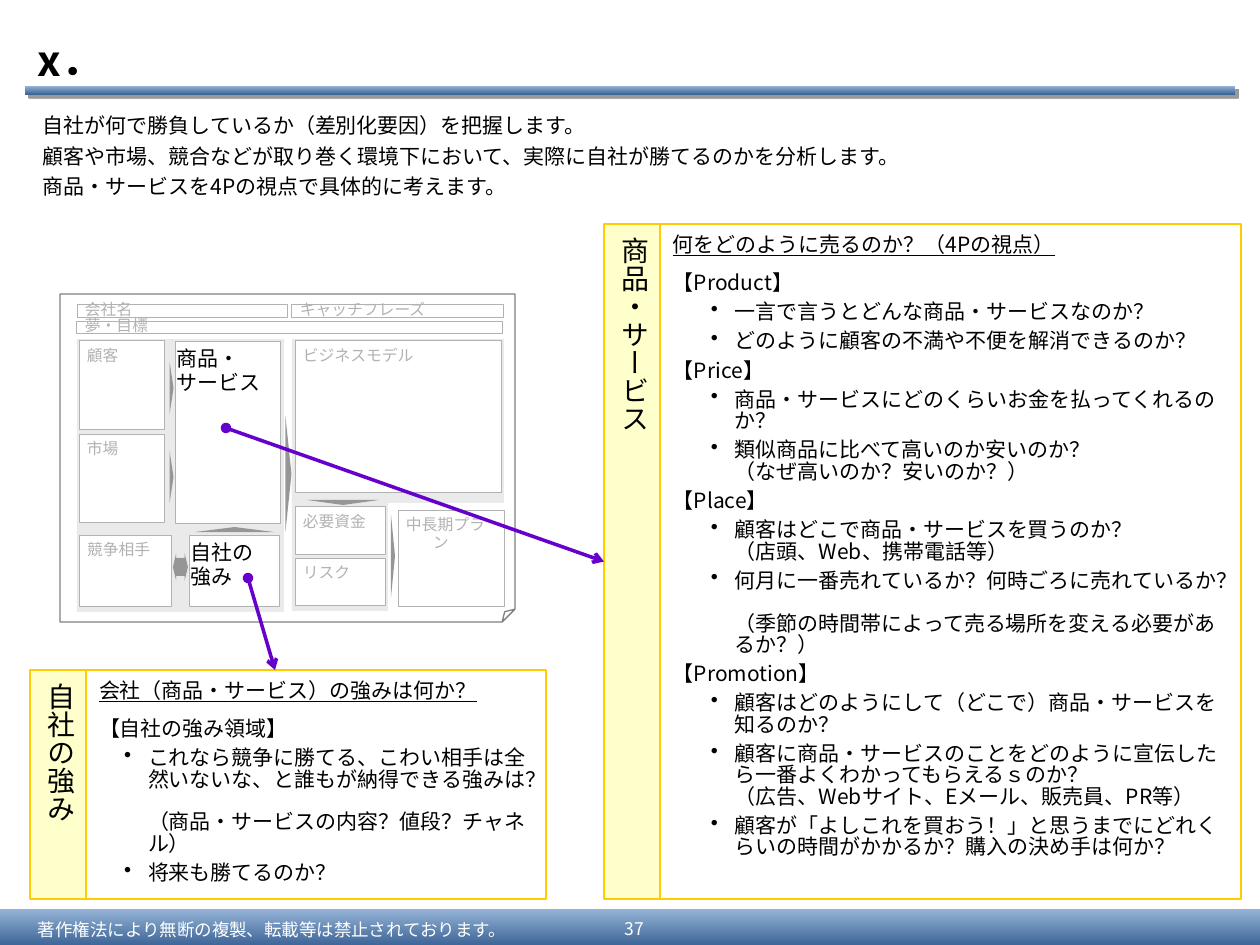
from lxml import etree
from pptx import Presentation, util as u
from pptx.dml.color import RGBColor
from pptx.enum import shapes, text
from pptx.oxml.ns import qn

BLACK = RGBColor(0x00, 0x00, 0x00)
WHITE = RGBColor(0xFF, 0xFF, 0xFF)
NAVY = RGBColor(0x37, 0x60, 0x92)
SKY = RGBColor(0x95, 0xB3, 0xD7)
PALE_GREY = RGBColor(0xEA, 0xEA, 0xEA)
LIGHT_GREY = RGBColor(0xB2, 0xB2, 0xB2)
MID_GREY = RGBColor(0x96, 0x96, 0x96)
DARK_GREY = RGBColor(0x80, 0x80, 0x80)
CREAM = RGBColor(0xFF, 0xFF, 0xCC)
GOLD = RGBColor(0xFF, 0xCC, 0x00)
PURPLE = RGBColor(0x66, 0x00, 0xCC)
JAPANESE = "Noto Sans CJK JP"
PX = 914400 / 126
RECT = shapes.MSO_SHAPE.RECTANGLE
LEFT, CENTER = text.PP_ALIGN.LEFT, text.PP_ALIGN.CENTER
TOP, MIDDLE = text.MSO_ANCHOR.TOP, text.MSO_ANCHOR.MIDDLE

deck = Presentation()
deck.slide_width, deck.slide_height = u.Inches(10), u.Inches(7.5)
page = deck.slides.add_slide(deck.slide_layouts[5])


def add_box(kind, area, fill=None, line=None, width=0.5):
    box = page.shapes.add_shape(kind, *[u.Emu(round(n * PX)) for n in area])
    box.shadow.inherit = False
    if fill is None:
        box.fill.background()
    else:
        box.fill.solid()
        box.fill.fore_color.rgb = fill
    if line is None:
        box.line.fill.background()
    else:
        box.line.color.rgb = line
        box.line.width = u.Pt(width)
    return box


def write(box, lines, size, color=BLACK, font=JAPANESE, insets=(13, 6, 13, 6),
          anchor=TOP, align=LEFT, spacing=None, before=0, after=0):
    frame = box.text_frame
    frame.word_wrap = True
    frame.vertical_anchor = anchor
    frame.margin_left, frame.margin_top, frame.margin_right, frame.margin_bottom = [
        u.Emu(round(n * PX)) for n in insets]
    for index, line in enumerate(lines):
        para = frame.add_paragraph() if index else frame.paragraphs[0]
        para.text = line
        para.alignment = align
        para.line_spacing = spacing
        para.space_before = u.Pt(before if index else 0)
        para.space_after = u.Pt(after)
        for line_break in para._p.findall(qn("a:br")):
            etree.SubElement(line_break, qn("a:rPr"), sz=str(size * 100))
        for span in para.runs:
            span.font.size = u.Pt(size)
            span.font.color.rgb = color
            span.font.name = font
            etree.SubElement(span._r.get_or_add_rPr(), qn("a:ea"), typeface=font)
    return frame.paragraphs


# Footer band and title rule
bands = [add_box(RECT, area, NAVY) for area in ((0, 909, 1260, 39), (25, 86, 1210, 9))]
for band in bands:
    band.fill.gradient()
    band.fill.gradient_angle = 90
    for stop, color in zip(band.fill.gradient_stops, (NAVY, SKY)):
        stop.color.rgb = color
effects = bands[1]._element.spPr.find(qn("a:effectLst"))
shadow = etree.SubElement(effects, qn("a:outerShdw"), dist=str(u.Pt(3)), dir="2700000", algn="tl")
shade = etree.SubElement(shadow, qn("a:srgbClr"), val="000000")
etree.SubElement(shade, qn("a:alpha"), val="40000")

# Footer text
for area, label, align in (
    ((25, 913, 536, 32), "著作権法により無断の複製、転載等は禁止されております。", LEFT),
    ((600, 911, 69, 35), "37", CENTER),
):
    box = page.shapes.add_textbox(*[u.Emu(round(n * PX)) for n in area])
    write(box, [label], 10, WHITE, insets=(13, 5, 13, 5), anchor=MIDDLE, align=align)

# Title and introduction
title = page.shapes.title
title.left, title.top, title.width, title.height = [
    u.Emu(round(n * PX)) for n in (25, 26, 1235, 68)]
write(title, ["x．"], 24, anchor=MIDDLE)[0].runs[0].font.bold = True
intro = page.shapes.add_textbox(*[u.Emu(round(n * PX)) for n in (30, 107, 1211, 117)])
write(intro, [
    "自社が何で勝負しているか（差別化要因）を把握します。",
    "顧客や市場、競合などが取り巻く環境下において、実際に自社が勝てるのかを分析します。",
    "商品・サービスを4Pの視点で具体的に考えます。",
], 12, before=3)

# Business plan sheet and its grey zones
sheet = add_box(shapes.MSO_SHAPE.FOLDED_CORNER, (60, 294, 455, 328), None, DARK_GREY, 0.75)
guides = sheet._element.spPr.find(qn("a:prstGeom")).get_or_add_avLst()
etree.SubElement(guides, qn("a:gd"), name="adj", fmla="val 3900")
for area in ((292, 447, 96, 164), (292, 339, 212, 164), (77, 339, 207, 273)):
    add_box(RECT, area, PALE_GREY)

# Arrows between the cells
rivalry = add_box(shapes.MSO_SHAPE.LEFT_RIGHT_ARROW, (173, 553, 15, 28), MID_GREY)
rivalry.adjustments[0], rivalry.adjustments[1] = 0.64, 0.22
for *area, turn in (
    (145, 386, 53, 4, 90), (145, 475, 53, 4, 90), (195, 527, 79, 5, 0),
    (231, 471, 115, 6, 90), (307, 500, 72, 5, 180), (352, 554, 82, 4, 90),
):
    add_box(shapes.MSO_SHAPE.ISOSCELES_TRIANGLE, area, MID_GREY).rotation = turn

# Greyed cells, the low ones with text anchored in the middle
for label, *area in (
    ("会社名", 77, 305, 211, 13), ("キャッチフレーズ", 292, 305, 212, 13),
    ("夢・目標", 77, 321, 426, 13), ("ビジネスモデル", 295, 341, 206, 152),
    ("必要資金", 295, 507, 91, 48), ("中長期プラン", 398, 510, 106, 97),
    ("リスク", 295, 558, 91, 48), ("顧客", 79, 341, 86, 89),
    ("市場", 79, 434, 86, 89), ("競争相手", 79, 535, 92, 72),
):
    low = area[3] < 20
    cell = add_box(RECT, area, WHITE, LIGHT_GREY)
    para = write(cell, [label], 9, LIGHT_GREY, "Calibri", (8, 4 if low else 6, 8, 6),
                 MIDDLE if low else TOP, spacing=0.95, after=1.1)[0]
    hang = round(27 * PX)
    para._p.get_or_add_pPr().set("marL", str(hang))
    para._p.get_or_add_pPr().set("indent", str(-hang))

# Highlighted cells
for label, *area in (("商品・\nサービス", 175, 341, 105, 183), ("自社の\n強み", 189, 535, 91, 72)):
    cell = add_box(RECT, area, WHITE, LIGHT_GREY)
    write(cell, [label], 12, BLACK, "Calibri", (2, 6, 2, 6), spacing=0.95, after=1.5)

# Detail panels: vertical tag, underlined question, 【headings】 and bullets
panels = [
    ("自社の強み", 30, 670, 460, 229, 49, [
        "会社（商品・サービス）の強みは何か？",
        "【自社の強み領域】",
        "これなら競争に勝てる、こわい相手は全然いないな、と誰もが納得できる強みは？\n（商品・サービスの内容？値段？チャネル）",
        "将来も勝てるのか？",
    ]),
    ("商品・サービス", 604, 224, 581, 675, 62, [
        "何をどのように売るのか？（4Pの視点）",
        "【Product】",
        "一言で言うとどんな商品・サービスなのか？",
        "どのように顧客の不満や不便を解消できるのか？",
        "【Price】",
        "商品・サービスにどのくらいお金を払ってくれるのか？",
        "類似商品に比べて高いのか安いのか？\n（なぜ高いのか？安いのか？）",
        "【Place】",
        "顧客はどこで商品・サービスを買うのか？\n（店頭、Web、携帯電話等）",
        "何月に一番売れているか？何時ごろに売れているか？\n（季節の時間帯によって売る場所を変える必要があるか？）",
        "【Promotion】",
        "顧客はどのようにして（どこで）商品・サービスを知るのか？",
        "顧客に商品・サービスのことをどのように宣伝したら一番よくわかってもらえるｓのか？\n（広告、Webサイト、Eメール、販売員、PR等）",
        "顧客が「よしこれを買おう！」と思うまでにどれくらいの時間がかかるか？購入の決め手は何か？",
    ]),
]
tags = []
for name, left, top, width, height, indent, lines in panels:
    tag = add_box(RECT, (left, top, 56, height), CREAM, GOLD, 1.25)
    write(tag, [name], 16, insets=(6, 13, 6, 13), anchor=MIDDLE, align=CENTER, spacing=0.9, after=2)
    tag.text_frame._txBody.bodyPr.set("vert", "eaVert")
    tags.append(tag)
    panel = add_box(RECT, (left + 56, top, width, height), WHITE, GOLD, 1.25)
    paras = write(panel, lines, 12, insets=(13, 11, 13, 6), spacing=0.85, before=2.2, after=2.2)
    paras[0].runs[0].font.underline = True
    paras[1].space_before = u.Pt(7.5)
    for para in paras[2:]:
        if not para.text.startswith("【"):
            para.level = 1
            props = para._p.get_or_add_pPr()
            props.set("marL", str(round(indent * PX)))
            props.set("indent", str(round(-24 * PX)))
            etree.SubElement(props, qn("a:buChar"), char="•")

# Pointers from the highlighted cells to the panels
pointers = []
for ends in ((226, 428, 604, 561), (248, 578, 275, 670)):
    pointer = page.shapes.add_connector(
        shapes.MSO_CONNECTOR.STRAIGHT, *[u.Emu(round(n * PX)) for n in ends])
    pointer.line.color.rgb = PURPLE
    pointer.line.width = u.Pt(2)
    outline = pointer.line._get_or_add_ln()
    etree.SubElement(outline, qn("a:headEnd"), type="oval")
    etree.SubElement(outline, qn("a:tailEnd"), type="arrow")
    etree.SubElement(pointer._element.spPr, qn("a:effectLst"))
    pointers.append(pointer)
pointers[0].end_connect(tags[1], 1)

deck.save("out.pptx")
